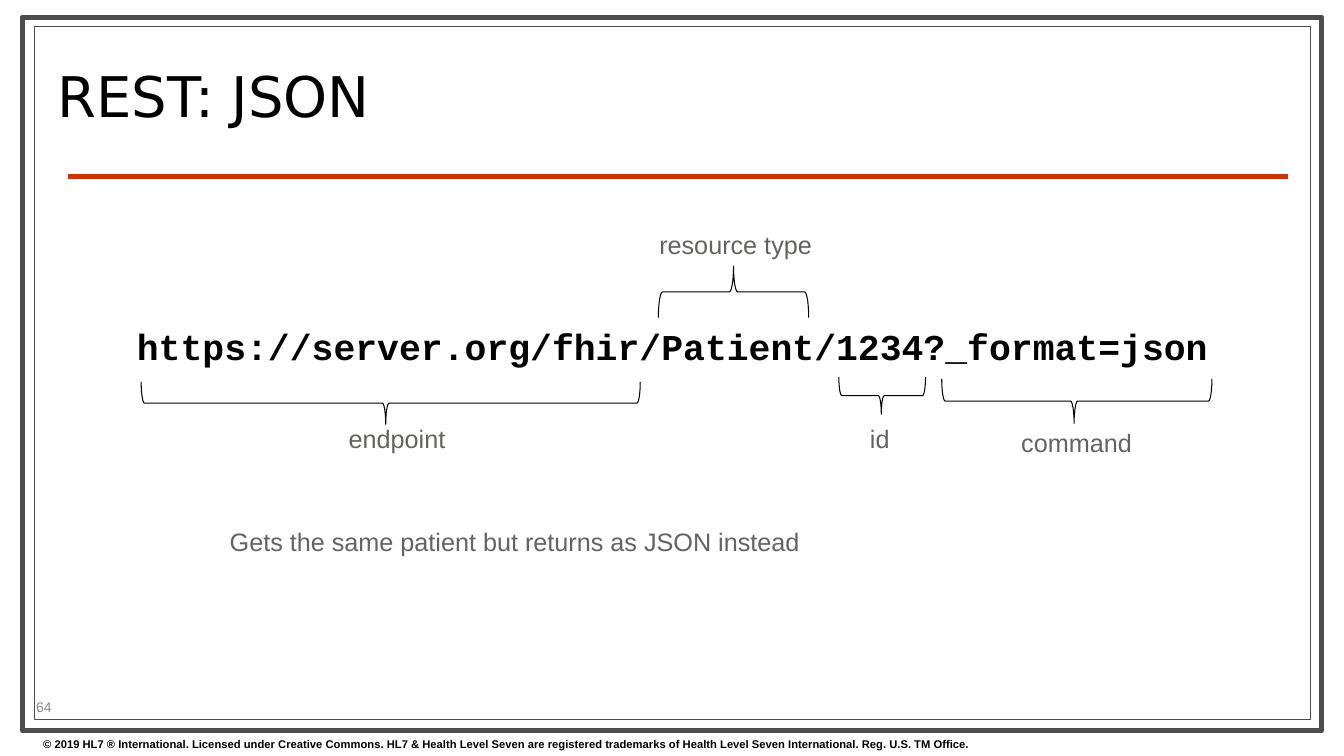
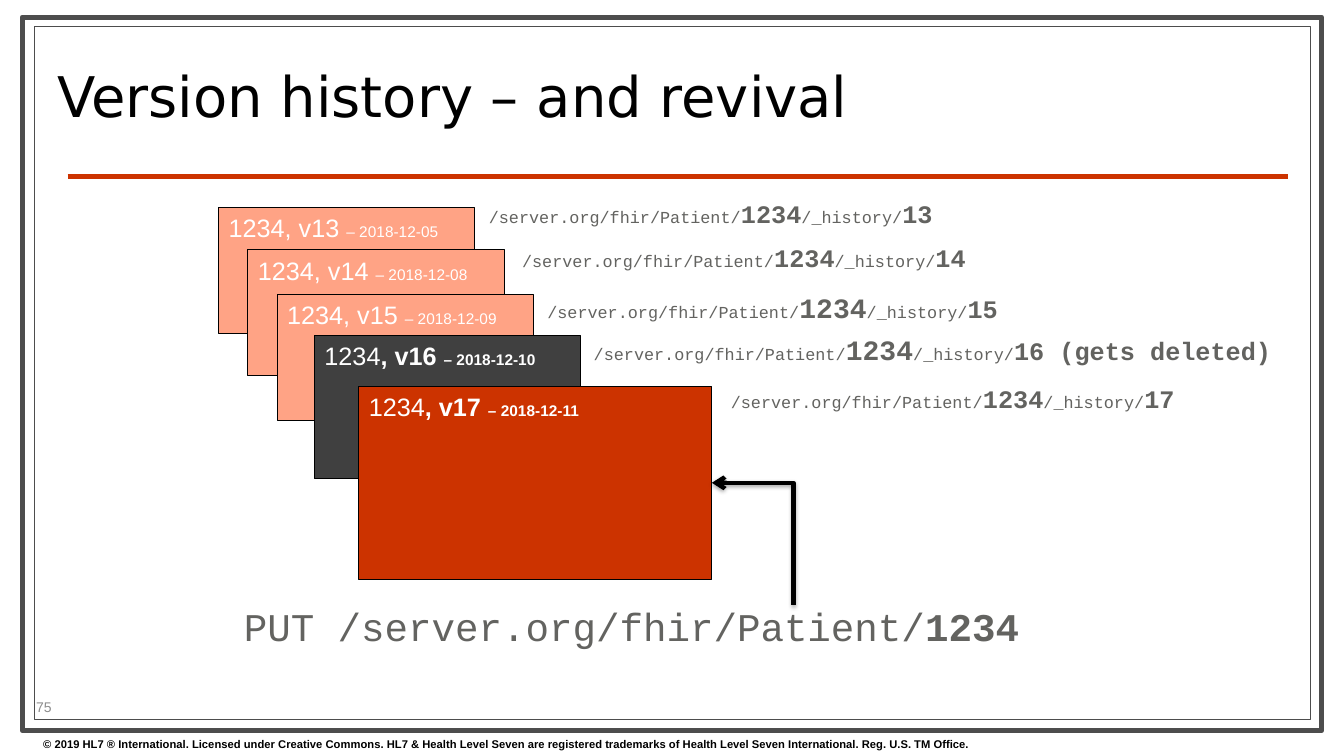
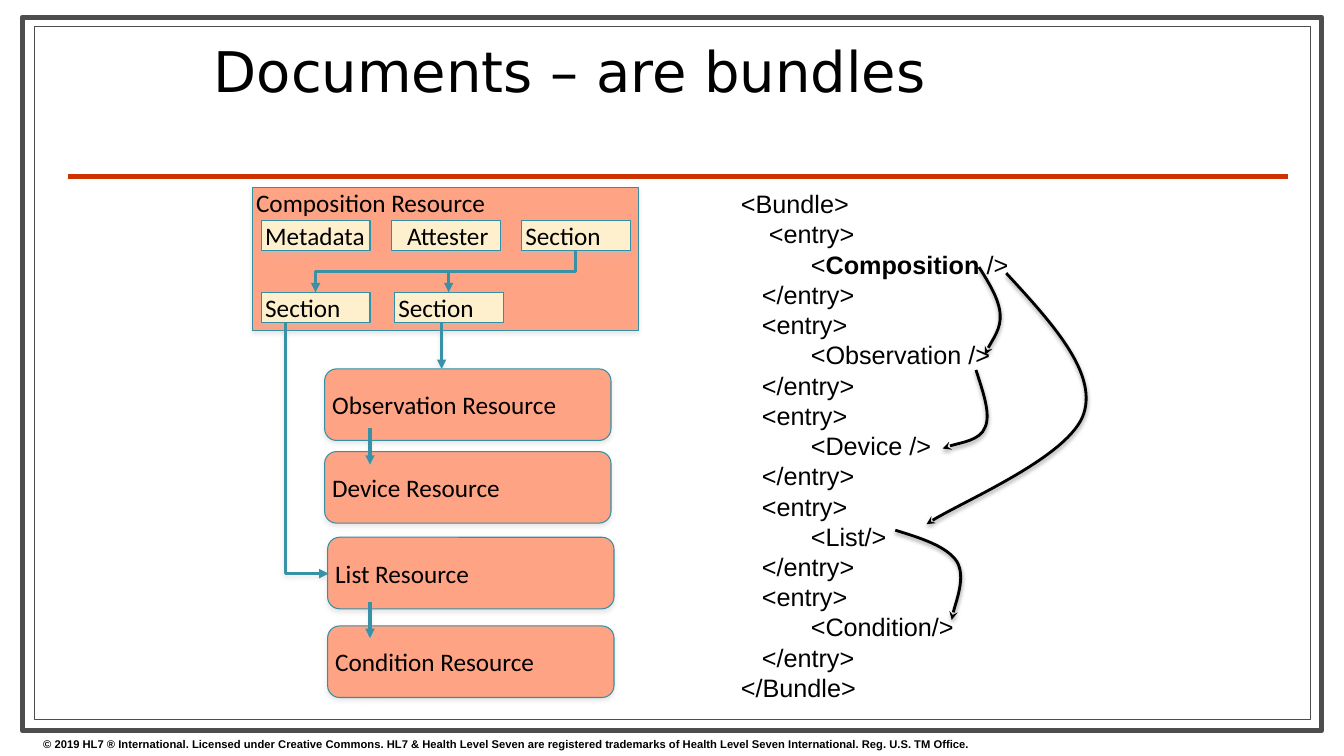
from itertools import pairwise

from lxml.etree import SubElement
from pptx import Presentation
from pptx.dml.color import RGBColor
from pptx.enum.shapes import MSO_CONNECTOR, MSO_SHAPE
from pptx.enum.text import MSO_ANCHOR, MSO_AUTO_SIZE, PP_ALIGN
from pptx.oxml.ns import qn
from pptx.util import Inches, Pt

WIDTH, HEIGHT = 13.33, 7.5
BLACK = RGBColor(0x00, 0x00, 0x00)
WHITE = RGBColor(0xFF, 0xFF, 0xFF)
EDGE = RGBColor(0x4D, 0x4D, 0x4D)
DARK = RGBColor(0x40, 0x40, 0x40)
GREY = RGBColor(0x63, 0x63, 0x60)
PALE = RGBColor(0x8C, 0x8C, 0x8C)
SILVER = RGBColor(0xC0, 0xC0, 0xC0)
RED = RGBColor(0xCC, 0x33, 0x00)
SALMON = RGBColor(0xFF, 0xA3, 0x85)
CREAM = RGBColor(0xFE, 0xF0, 0xCD)
TEAL = RGBColor(0x33, 0x8F, 0xA5)
AQUA = RGBColor(0x38, 0x91, 0xA7)
SANS, MONO, HEAD, BODY = "Arial", "Courier New", "DejaVu Sans", "Calibri"
RIGHTS = ("© 2019 HL7 ® International. Licensed under Creative Commons. "
          "HL7 & Health Level Seven are registered trademarks of "
          "Health Level Seven International. Reg. U.S. TM Office.")


def inch(*sizes):
    return [Inches(size) for size in sizes]


def shade(shape, tint=None):
    """Replace the theme's shadow by a soft one in tint, or by none."""
    effects = SubElement(shape.element.spPr, qn("a:effectLst"))
    if tint is not None:
        cast = SubElement(effects, qn("a:outerShdw"), blurRad=str(Pt(3)),
                          dist=str(Pt(1.8)), dir="5400000", rotWithShape="0")
        color = SubElement(cast, qn("a:srgbClr"), val=str(tint))
        SubElement(color, qn("a:alpha"), val="36000")


def stroke(shape, color, width, tip=None, tint=None):
    """Set the line, an arrowhead at its end and the shadow."""
    shape.line.color.rgb = color
    shape.line.width = Pt(width)
    if tip:
        SubElement(shape.element.spPr.find(qn("a:ln")), qn("a:tailEnd"), type=tip)
    shade(shape, tint)


def style(para, size, color, font, bold=False):
    para.font.size = Pt(size)
    para.font.color.rgb = color
    para.font.name = font
    para.font.bold = bold


def spans(para, runs):
    """Add runs of (text, size, bold)."""
    for text, size, bold in runs:
        run = para.add_run()
        run.text = text
        run.font.size = Pt(size)
        run.font.bold = bold


def panel(slide, at, fill, line, width=0.75, kind=MSO_SHAPE.RECTANGLE, tint=None):
    shape = slide.shapes.add_shape(kind, *inch(*at))
    shape.fill.solid()
    shape.fill.fore_color.rgb = fill
    stroke(shape, line, width, tint=tint)
    return shape


def label(slide, at, text, size=18, color=GREY, font=SANS, bold=False):
    """Add a text box; text is a string or a list of runs."""
    box = slide.shapes.add_textbox(*inch(*at))
    frame = box.text_frame
    frame.word_wrap = True
    para = frame.paragraphs[0]
    if isinstance(text, str):
        para.text = text
        style(para, size, color, font, bold)
    else:
        spans(para, text)
        para.font.name = font
        para.font.color.rgb = color
    return box


def straight(slide, start, end, color, width, tip=None, tint=None):
    line = slide.shapes.add_connector(MSO_CONNECTOR.STRAIGHT, *inch(*start, *end))
    stroke(line, color, width, tip, tint)
    return line


def elbow(slide, start, end, color, width, tip, bends=2, tint=None):
    """Join two points, leaving vertically and heading left."""
    (x1, y1), (x2, y2) = start, end
    midx, midy = (x1 + x2) / 2, (y1 + y2) / 2
    halfw, halfh = abs(y2 - y1) / 2, (x1 - x2) / 2
    up = y2 < y1
    if up:
        halfh = -halfh
    line = slide.shapes.add_connector(
        MSO_CONNECTOR.ELBOW,
        *inch(midx - halfw, midy - halfh, midx + halfw, midy + halfh))
    props = line.element.spPr
    props.find(qn("a:xfrm")).set("rot", "16200000" if up else "5400000")
    props.find(qn("a:prstGeom")).set("prst", f"bentConnector{bends + 1}")
    stroke(line, color, width, tip, tint)


def trail(slide, points, color, width, tip, tint, curved=False):
    """Draw an open path; curved takes the points as cubic Bézier ones."""
    spots = [inch(*point) for point in points]
    maker = slide.shapes.build_freeform(*spots[0])
    maker.add_line_segments(spots[1:], close=False)
    shape = maker.convert_to_shape()
    shape.fill.background()
    stroke(shape, color, width, tip, tint)
    if curved:
        path = next(shape.element.iter(qn("a:path")))
        steps = path.findall(qn("a:lnTo"))
        for first in range(0, len(steps), 3):
            curve = SubElement(path, qn("a:cubicBezTo"))
            for step in steps[first:first + 3]:
                curve.append(step[0])
                path.remove(step)


def brace(slide, left, top, width, height, up=False):
    """Draw a lying brace that fills the given area."""
    midx, midy = left + width / 2, top + height / 2
    shape = slide.shapes.add_shape(
        MSO_SHAPE.LEFT_BRACE,
        *inch(midx - height / 2, midy - width / 2, height, width))
    shape.rotation = 90 if up else 270
    shape.adjustments[0] = 0.08
    shape.adjustments[1] = 0.5 if up else 0.49
    shape.fill.background()
    stroke(shape, BLACK, 0.75)


def dress(slide):
    """Put the frame, rule and copyright line on the slide's layout."""
    layout = slide.slide_layout
    for holder in list(layout.placeholders):
        if holder.placeholder_format.idx:
            layout.shapes.element.remove(holder.element)
    parts = [
        panel(slide, (0.22, 0.17, 12.89, 7.08), WHITE, EDGE, 3.5),
        panel(slide, (0.34, 0.26, 12.66, 6.88), WHITE, EDGE),
        straight(slide, (0.67, 1.75), (12.77, 1.75), RED, 3),
        label(slide, (0.33, 7.27, WIDTH, 0.23), RIGHTS, 8, BLACK, bold=True),
    ]
    for part in parts:
        layout.shapes.element.append(part.element)


def begin(deck, title, at=(0.47, 0.36, 9.55, 1.29), number=None):
    slide = deck.slides.add_slide(deck.slide_layouts[5])
    if len(deck.slides) == 1:
        dress(slide)
    head = slide.shapes.title
    head.left, head.top, head.width, head.height = inch(*at)
    frame = head.text_frame
    frame.text = title
    frame.auto_size = MSO_AUTO_SIZE.NONE
    frame.vertical_anchor = MSO_ANCHOR.MIDDLE
    para = frame.paragraphs[0]
    para.alignment = PP_ALIGN.LEFT
    para.line_spacing = 0.8
    style(para, 40, BLACK, HEAD)
    if number:
        box = label(slide, (0.26, 6.89, 1.05, 0.24), number, 10, PALE)
        box.text_frame.vertical_anchor = MSO_ANCHOR.MIDDLE
    return slide


def rest(deck):
    slide = begin(deck, "REST: JSON", number="64")
    label(slide, (1.26, 3.17, 11.5, 0.5),
          "https://server.org/fhir/Patient/1234?_format=json",
          26, BLACK, MONO, True)
    brace(slide, 1.4, 3.79, 4.95, 0.42)
    brace(slide, 6.53, 2.64, 1.49, 0.51, up=True)
    brace(slide, 8.32, 3.74, 0.86, 0.37)
    brace(slide, 9.34, 3.76, 2.68, 0.44)
    for text, left, top, width in (
            ("resource type", 6.44, 2.23, 1.81),
            ("endpoint", 3.36, 4.15, 1.26),
            ("id", 8.53, 4.15, 0.4),
            ("command", 10.03, 4.19, 1.42),
            ("Gets the same patient but returns as JSON instead", 2.18, 5.17, 6.05)):
        label(slide, (left, top, width, 0.4), text)


def card(slide, at, fill, version, date, bold):
    shape = panel(slide, at, fill, BLACK)
    frame = shape.text_frame
    frame.vertical_anchor = MSO_ANCHOR.TOP
    para = frame.paragraphs[0]
    para.alignment = PP_ALIGN.LEFT
    spans(para, [("1234", 18, False), (f", v{version} ", 18, bold),
                 (f"– 2018-12-{date}", 11, bold)])
    para.font.name = SANS
    para.font.color.rgb = WHITE


def history(deck):
    slide = begin(deck, "Version history – and revival", number="75")
    small = 2.54, 1.25
    for version, date, left, top, size, fill in (
            (13, "05", 2.17, 2.06, small, SALMON),
            (14, "08", 2.46, 2.48, small, SALMON),
            (15, "09", 2.75, 2.92, small, SALMON),
            (16, "10", 3.12, 3.33, (2.64, 1.42), DARK),
            (17, "11", 3.56, 3.83, (3.5, 1.92), RED)):
        card(slide, (left, top, *size), fill, version, date, version > 15)
    for end, left, top, width, size in (
            ("13", 4.75, 1.92, 5.38, 18),
            ("14", 5.08, 2.36, 5.53, 18),
            ("15", 5.33, 2.83, 5.5, 20),
            ("16 (gets deleted)", 5.79, 3.25, 7.02, 20),
            ("17", 7.15, 3.75, 4.95, 18)):
        label(slide, (left, top, width, 0.4),
              [("/server.org/fhir/Patient/", 12, False), ("1234", size, True),
               ("/_history/", 12, False), (end, 18, True)], font=MONO)
    label(slide, (2.32, 5.93, 8.04, 0.57),
          [("PUT /server.org/fhir/Patient/", 28, False), ("1234", 28, True)],
          font=MONO)
    elbow(slide, (7.87, 6), (7.06, 4.79), BLACK, 3, "arrow", 1, BLACK)


def block(slide, at, text, fill=SALMON, kind=MSO_SHAPE.RECTANGLE,
          anchor=MSO_ANCHOR.TOP, align=PP_ALIGN.LEFT):
    shape = panel(slide, at, fill, TEAL, kind=kind, tint=SILVER)
    frame = shape.text_frame
    frame.margin_left = Inches(0.04)
    frame.margin_top = frame.margin_right = frame.margin_bottom = 0
    frame.vertical_anchor = anchor
    para = frame.paragraphs[0]
    para.text = text
    para.alignment = align
    style(para, 18, BLACK, BODY)


def listing(slide):
    """Write the bundle's markup, one paragraph a line."""
    lines = ["<Bundle>"]
    for name in ("Composition />", "Observation />", "Device />",
                 "List/>", "Condition/>"):
        lead = " " * (4 if len(lines) == 1 else 3)
        lines += [f"{lead}<entry>", f"          <{name}", "   </entry>"]
    lines.append("</Bundle>")
    box = slide.shapes.add_textbox(*inch(7.25, 1.82, 2.88, 5.25))
    frame = box.text_frame
    frame.word_wrap = True
    for row, line in enumerate(lines):
        para = frame.paragraphs[0] if row == 0 else frame.add_paragraph()
        before, word, after = line.partition("Composition")
        for text in filter(None, (before, word, after)):
            run = para.add_run()
            run.text = text
            if text == word:
                run.font.bold = True
        para.line_spacing = Pt(21.6)
        style(para, 18, BLACK, SANS)


def bundles(deck):
    slide = begin(deck, "Documents – are bundles", (2.02, 0.36, 7.65, 0.8))
    block(slide, (2.5, 1.86, 3.83, 1.42), "Composition Resource")
    upper, lower = 2.19, 2.9
    for text, left, top, align in (
            ("Metadata", 2.59, upper, PP_ALIGN.LEFT),
            ("Attester", 3.88, upper, PP_ALIGN.CENTER),
            ("Section", 5.17, upper, PP_ALIGN.LEFT),
            ("Section", 2.59, lower, PP_ALIGN.LEFT),
            ("Section", 3.91, lower, PP_ALIGN.LEFT)):
        block(slide, (left, top, 1.08, 0.3), text, CREAM, align=align)
    for name, left, top in (("Observation", 3.22, 3.66), ("Device", 3.22, 4.48),
                            ("List", 3.25, 5.33), ("Condition", 3.25, 6.21)):
        block(slide, (left, top, 2.84, 0.71), f"{name} Resource",
              kind=MSO_SHAPE.ROUNDED_RECTANGLE, anchor=MSO_ANCHOR.MIDDLE)
    for left, top, end in ((4.38, 3.19, 3.66), (3.67, 4.25, 4.61),
                           (3.67, 5.97, 6.33)):
        straight(slide, (left, top), (left, end), AQUA, 2.25, "triangle", SILVER)
    for left in (3.13, 4.45):
        elbow(slide, (5.71, upper + 0.3), (left, lower), AQUA, 2.25, "triangle")
    trail(slide, [(2.83, 3.2), (2.83, 5.69), (3.26, 5.69)],
          AQUA, 2.25, "triangle", SILVER)
    listing(slide)
    for points in (
            [(9.71, 2.65), (9.81, 2.81), (9.91, 2.97), (9.92, 3.12),
             (9.93, 3.26), (9.79, 3.45), (9.77, 3.52)],
            [(9.98, 2.71), (10.43, 3.2), (10.88, 3.69), (10.75, 4.1),
             (10.62, 4.52), (9.44, 5.02), (9.19, 5.2)],
            [(9.68, 3.67), (9.75, 3.89), (9.83, 4.11), (9.77, 4.24),
             (9.72, 4.37), (9.42, 4.41), (9.35, 4.45)],
            [(8.88, 5.26), (9.14, 5.34), (9.39, 5.42), (9.49, 5.57),
             (9.58, 5.72), (9.44, 6.09), (9.44, 6.15)]):
        trail(slide, points, BLACK, 2, "stealth", BLACK, curved=True)


def main():
    deck = Presentation()
    deck.slide_width, deck.slide_height = inch(WIDTH, HEIGHT)
    rest(deck)
    history(deck)
    bundles(deck)
    deck.save("out.pptx")


if __name__ == "__main__":
    main()
